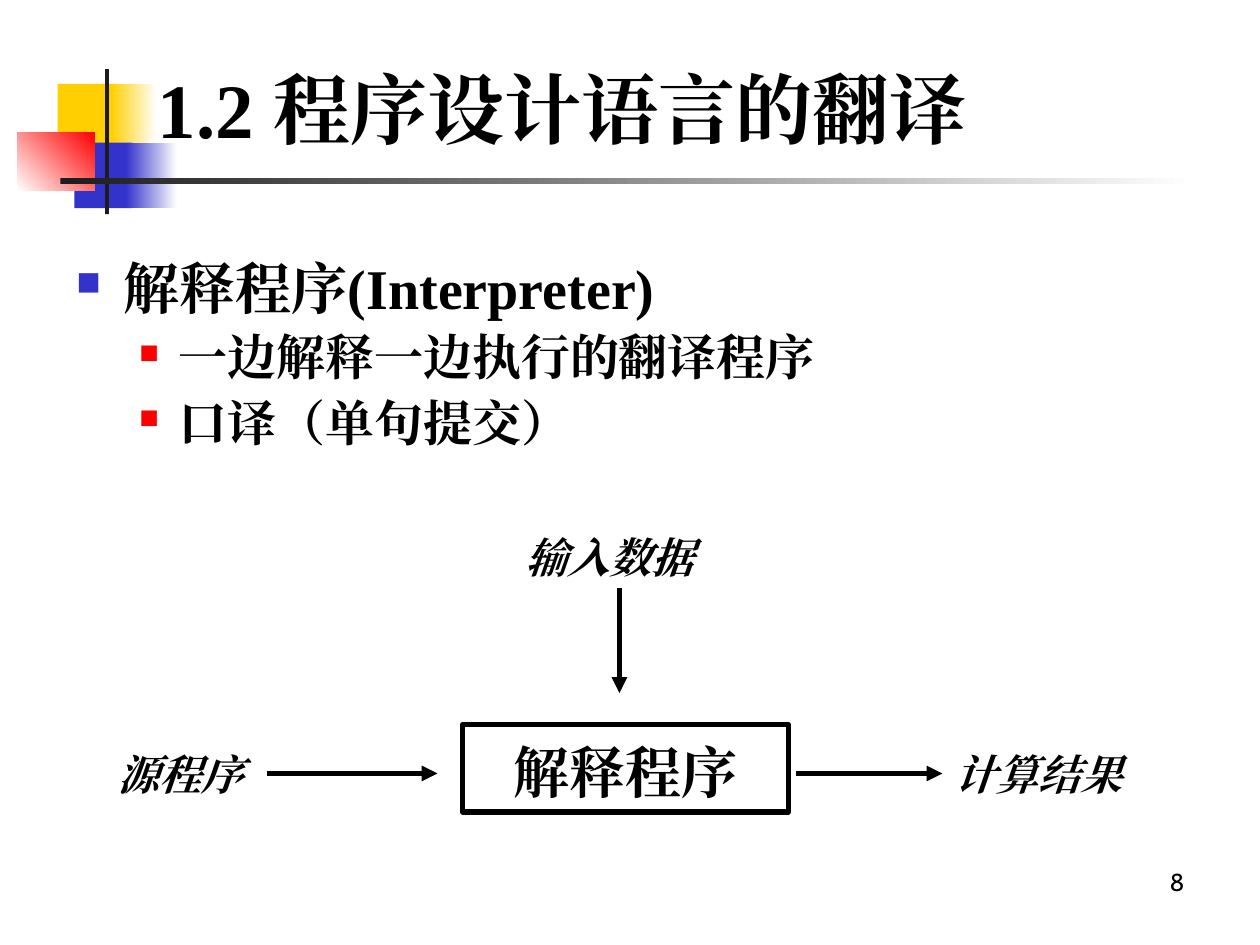
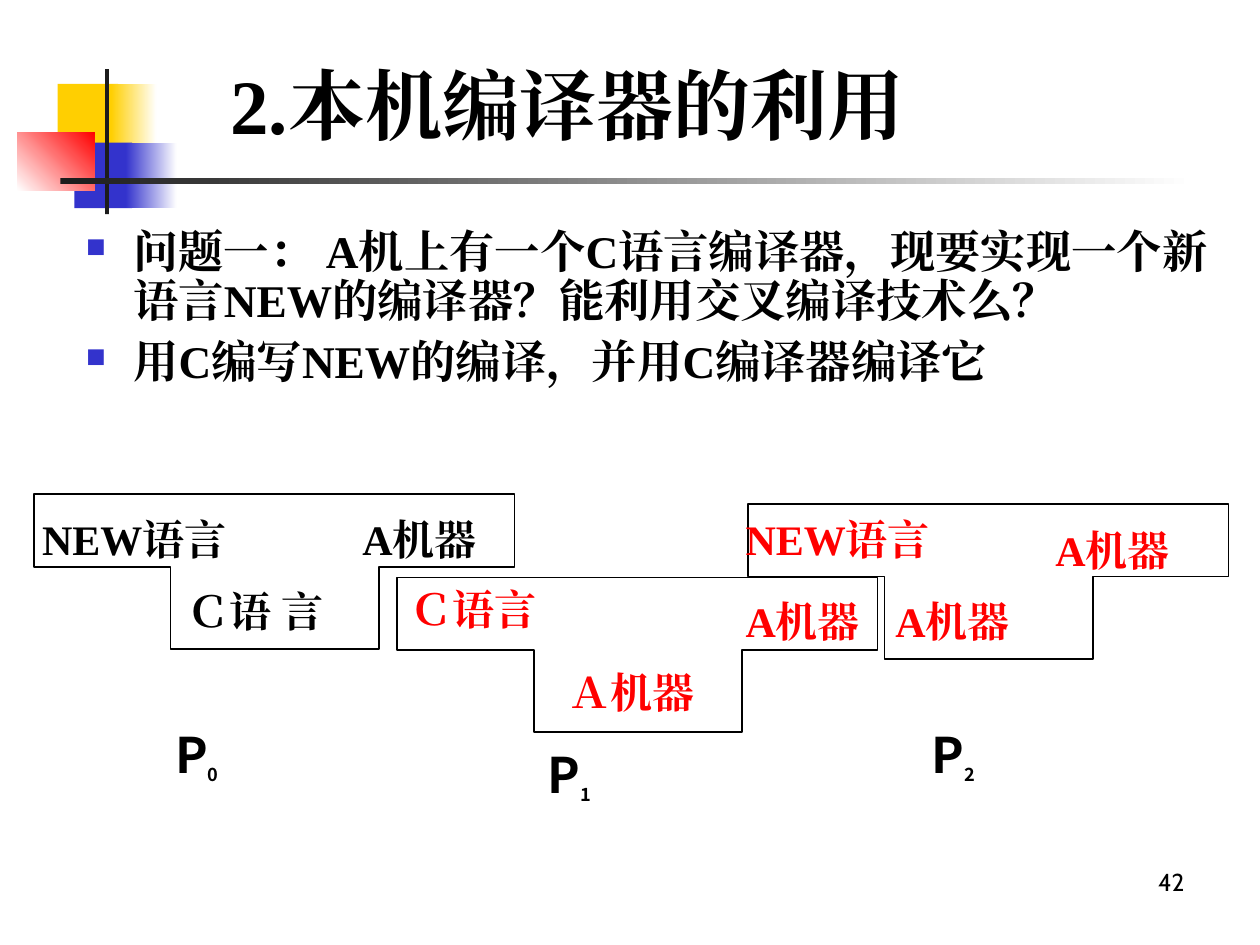
from lxml import etree
from pptx import Presentation
from pptx.dml.color import RGBColor
from pptx.enum.shapes import MSO_CONNECTOR, MSO_SHAPE
from pptx.enum.text import MSO_ANCHOR, MSO_AUTO_SIZE, PP_ALIGN
from pptx.oxml.ns import qn
from pptx.util import Pt

RECTANGLE = MSO_SHAPE.RECTANGLE
STRAIGHT = MSO_CONNECTOR.STRAIGHT
TOP, MIDDLE = MSO_ANCHOR.TOP, MSO_ANCHOR.MIDDLE
NO_AUTOFIT = MSO_AUTO_SIZE.NONE
LEFT, CENTER, RIGHT = PP_ALIGN.LEFT, PP_ALIGN.CENTER, PP_ALIGN.RIGHT

COLORS = {
    "black": "000000",
    "white": "FFFFFF",
    "yellow": "FFCF01",
    "blue": "3333CC",
    "red": "FF0000",
    "dark": "1C1C1C",
}
SERIF, SANS, NUMBER_FONT = "Times New Roman", "Noto Sans CJK SC", "Cabin"
TITLE_ONLY = 5
BOTTOM_SIDE, LEFT_SIDE, RIGHT_SIDE = 2, 1, 3

BANDS = [
    (33, 48, 34.5, 37.5, "yellow", None, 0),
    (63.5, 48, 26, 37.5, "yellow", "white", 0),
    (42.5, 81.5, 33, 37.5, "blue", None, 0),
    (72, 81.5, 29, 37.5, "blue", "white", 0),
    (10, 75.5, 44, 33.5, "white", "red", 45),
    (60, 39.5, 2.25, 83, "dark", None, 0),
    (34.5, 102, 648, 3, "dark", "white", 0),
]
BULLET_LEVELS = [
    {"margin": 27, "hanging": 27, "color": "blue", "percent": 60},
    {"margin": 58.5, "hanging": 22.5, "color": "red", "percent": 55},
]


def rgb(name):
    return RGBColor.from_string(COLORS[name])


def write(para, text, size=24, font=SERIF, color="black", bold=True,
          italic=False, baseline=None):
    span = para.add_run()
    span.text = text
    span.font.size = Pt(size)
    span.font.bold = bold
    span.font.italic = italic
    span.font.color.rgb = rgb(color)
    span.font.name = font
    properties = span.font._element
    etree.SubElement(properties, qn("a:ea"), typeface=font)
    if baseline is not None:
        properties.set("baseline", str(baseline * 1000))


def prepare_frame(shape, anchor=TOP, wrap=True):
    frame = shape.text_frame
    frame.word_wrap = wrap
    frame.auto_size = NO_AUTOFIT
    frame.vertical_anchor = anchor
    return frame


def add_text(page, text, left, top, width, height, align=LEFT, wrap=True,
             **style):
    box = page.shapes.add_textbox(Pt(left), Pt(top), Pt(width), Pt(height))
    para = prepare_frame(box, wrap=wrap).paragraphs[0]
    para.alignment = align
    write(para, text, **style)
    return box


def add_band(page, left, top, width, height, color, end_color, angle):
    band = page.shapes.add_shape(
        RECTANGLE, Pt(left), Pt(top), Pt(width), Pt(height))
    band.shadow.inherit = False
    band.line.fill.background()
    if end_color is None:
        band.fill.solid()
        band.fill.fore_color.rgb = rgb(color)
        return
    band.fill.gradient()
    band.fill.gradient_angle = angle
    stops = band.fill.gradient_stops
    for stop, position, name in zip(stops, (0, 1), (color, end_color)):
        stop.position = position
        stop.color.rgb = rgb(name)


def add_page(deck, title, number, left, top, width):
    page = deck.slides.add_slide(deck.slide_layouts[TITLE_ONLY])
    for band in BANDS:
        add_band(page, *band)
    holder = page.shapes.title
    holder.left, holder.top = Pt(left), Pt(top)
    holder.width, holder.height = Pt(width), Pt(60)
    para = prepare_frame(holder, MIDDLE).paragraphs[0]
    para.alignment = LEFT
    write(para, title, size=44)
    add_text(page, number, 516, 492, 168, 37.5, align=RIGHT,
             size=14, font=NUMBER_FONT, bold=False)
    return page


def set_bullet(para, margin, hanging, color, percent):
    properties = para._p.get_or_add_pPr()
    properties.set("marL", str(Pt(margin)))
    properties.set("indent", str(-Pt(hanging)))
    bullet_color = etree.SubElement(properties, qn("a:buClr"))
    etree.SubElement(bullet_color, qn("a:srgbClr"), val=COLORS[color])
    etree.SubElement(properties, qn("a:buSzPct"), val=str(percent * 1000))
    etree.SubElement(properties, qn("a:buChar"), char="■")


def add_bullets(page, items, left, top, width):
    box = page.shapes.add_textbox(Pt(left), Pt(top), Pt(width), Pt(120))
    frame = prepare_frame(box)
    for index, (level, size, text) in enumerate(items):
        para = frame.add_paragraph() if index else frame.paragraphs[0]
        para.level = level
        set_bullet(para, **BULLET_LEVELS[level])
        para.line_spacing = 0.9
        para.space_before = Pt(7 if index else 0)
        write(para, text, size=size)


def add_arrow(page, start, end):
    arrow = page.shapes.add_connector(STRAIGHT, *map(Pt, start + end))
    arrow.line.color.rgb = rgb("black")
    arrow.line.width = Pt(3)
    etree.SubElement(arrow.line._get_or_add_ln(), qn("a:tailEnd"),
                     type="triangle")
    etree.SubElement(arrow._element.spPr, qn("a:effectLst"))
    return arrow


def outline(shape, width):
    shape.shadow.inherit = False
    shape.fill.background()
    shape.line.color.rgb = rgb("black")
    shape.line.width = Pt(width)


def add_process(page, text, left, top, width, height):
    box = page.shapes.add_shape(
        RECTANGLE, Pt(left), Pt(top), Pt(width), Pt(height))
    outline(box, 3)
    para = prepare_frame(box, MIDDLE).paragraphs[0]
    para.alignment = CENTER
    para.line_spacing = 1.1
    write(para, text, size=32)


def add_t_diagram(page, left, top):
    stem_left, stem_right, right = left + 78, left + 197, left + 274.5
    shoulder, bottom = top + 41.5, top + 88.5
    corners = [
        (left, shoulder), (stem_left, shoulder), (stem_left, bottom),
        (stem_right, bottom), (stem_right, shoulder), (right, shoulder),
        (right, top),
    ]
    builder = page.shapes.build_freeform(Pt(left), Pt(top))
    builder.add_line_segments([(Pt(x), Pt(y)) for x, y in corners], close=True)
    outline(builder.convert_to_shape(), 1)


def add_program_label(page, index, left, top):
    box = add_text(page, "P", left, top, 100, 45.5, size=28, font=SANS)
    para = box.text_frame.paragraphs[0]
    para.line_spacing = 1.1
    write(para, index, size=18, font=SANS, baseline=-25)


def build_interpreter_page(deck):
    page = add_page(deck, "1.2 程序设计语言的翻译", "8", 83, 31.5, 538)
    add_bullets(page, [
        (0, 32, "解释程序(Interpreter)"),
        (1, 28, "一边解释一边执行的翻译程序"),
        (1, 28, "口译（单句提交）"),
    ], 36.5, 145.5, 668)
    source = add_text(page, "源程序", 60, 424, 92.5, 36, italic=True)
    data = add_text(page, "输入数据", 293, 300, 122, 36, italic=True)
    result = add_text(page, "计算结果", 538.5, 424, 122, 36, italic=True)
    add_process(page, "解释程序", 264.5, 414, 186, 50)
    add_arrow(page, (152.5, 442), (250, 442)).begin_connect(source, RIGHT_SIDE)
    add_arrow(page, (455, 442), (538.5, 442)).end_connect(result, LEFT_SIDE)
    add_arrow(page, (354, 336), (354, 396)).begin_connect(data, BOTTOM_SIDE)


def build_compiler_page(deck):
    page = add_page(deck, "2.本机编译器的利用", "42", 124.5, 29, 580)
    add_bullets(page, [
        (0, 25.9, "问题一： A机上有一个C语言编译器，现要实现一个新语言NEW的编译器？"
                  "能利用交叉编译技术么？"),
        (0, 25.9, "用C编写NEW的编译，并用C编译器编译它"),
    ], 42, 127.5, 672)
    for left, top in [(227, 330), (19.5, 282.5), (427.5, 288)]:
        add_t_diagram(page, left, top)
    for text, left, top, width, color in [
        ("NEW语言", 17, 290, 125, "black"),
        ("Ｃ语 言", 100, 331, 97, "black"),
        ("A机器", 200, 290, 85, "black"),
        ("Ｃ语言", 227.5, 330, 86.5, "red"),
        ("Ａ机器", 318, 377.5, 86.5, "red"),
        ("A机器", 419, 337, 85, "red"),
        ("NEW语言", 419, 290, 125, "red"),
        ("A机器", 504.5, 337, 85, "red"),
        ("A机器", 596, 296, 85, "red"),
    ]:
        add_text(page, text, left, top, width, 36, wrap=False, color=color)
    for index, left, top in [("0", 93, 407), ("1", 306, 418.5), ("2", 525.5, 407)]:
        add_program_label(page, index, left, top)


def main():
    deck = Presentation()
    deck.slide_width, deck.slide_height = Pt(720), Pt(540)
    build_interpreter_page(deck)
    build_compiler_page(deck)
    deck.save("out.pptx")


if __name__ == "__main__":
    main()
